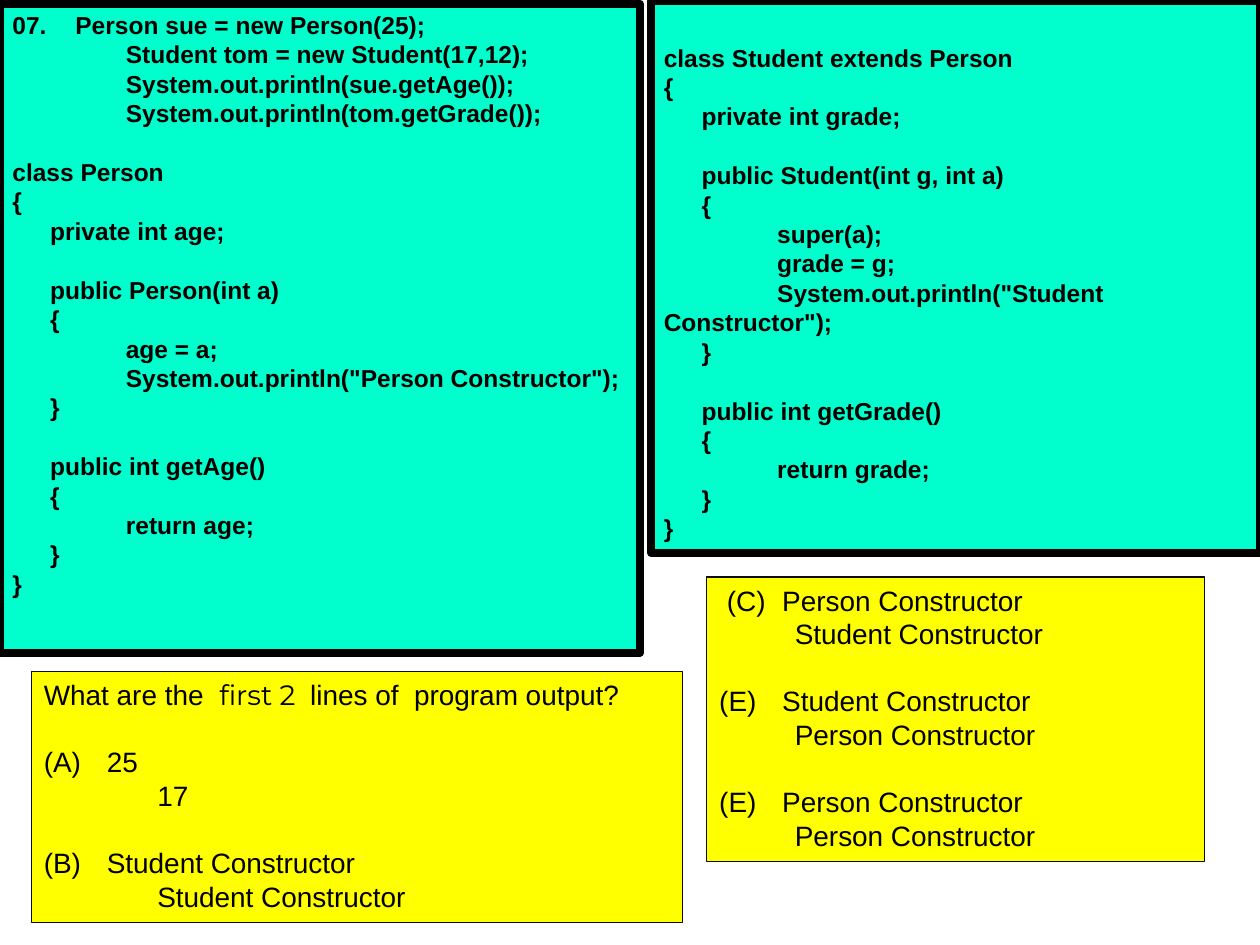
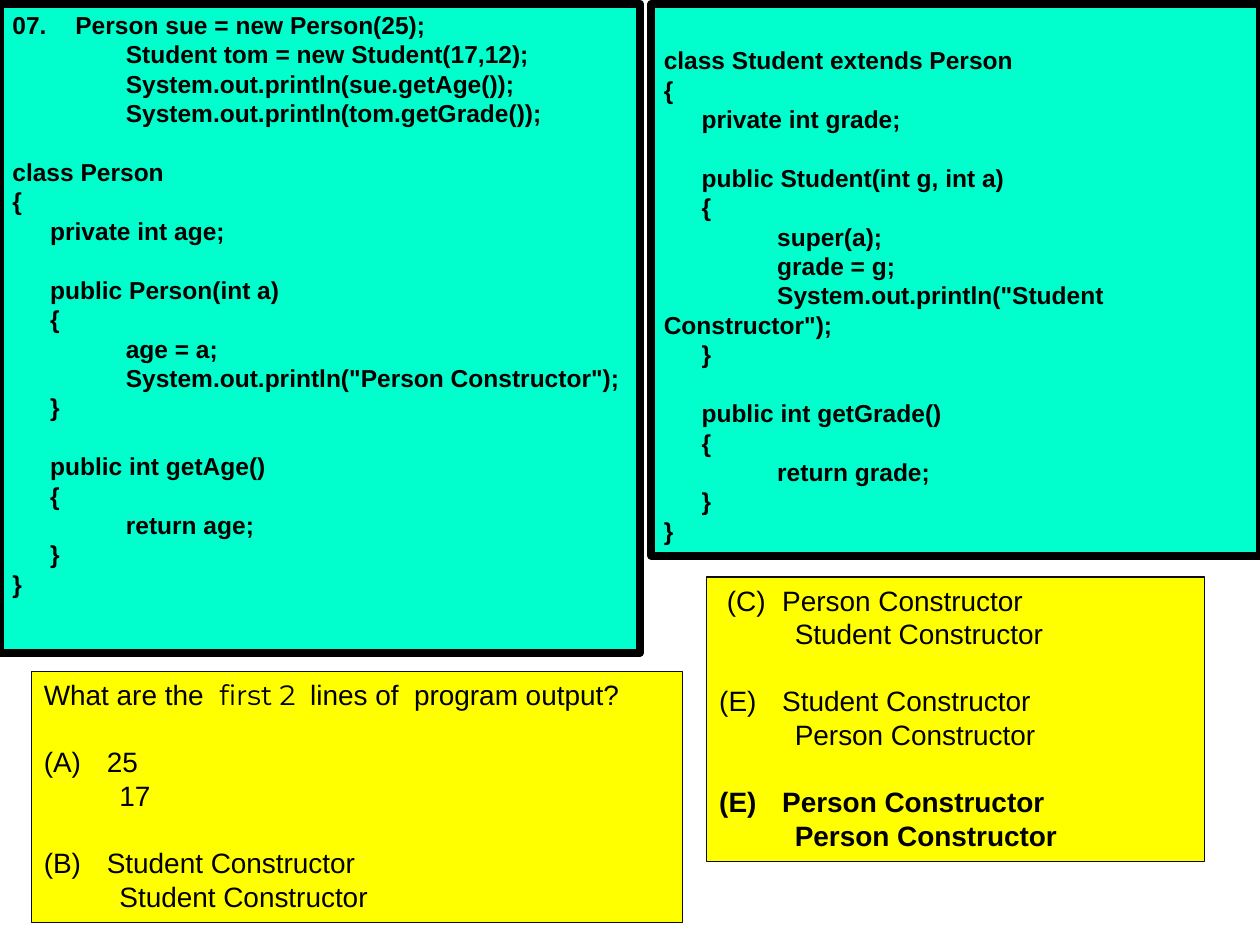
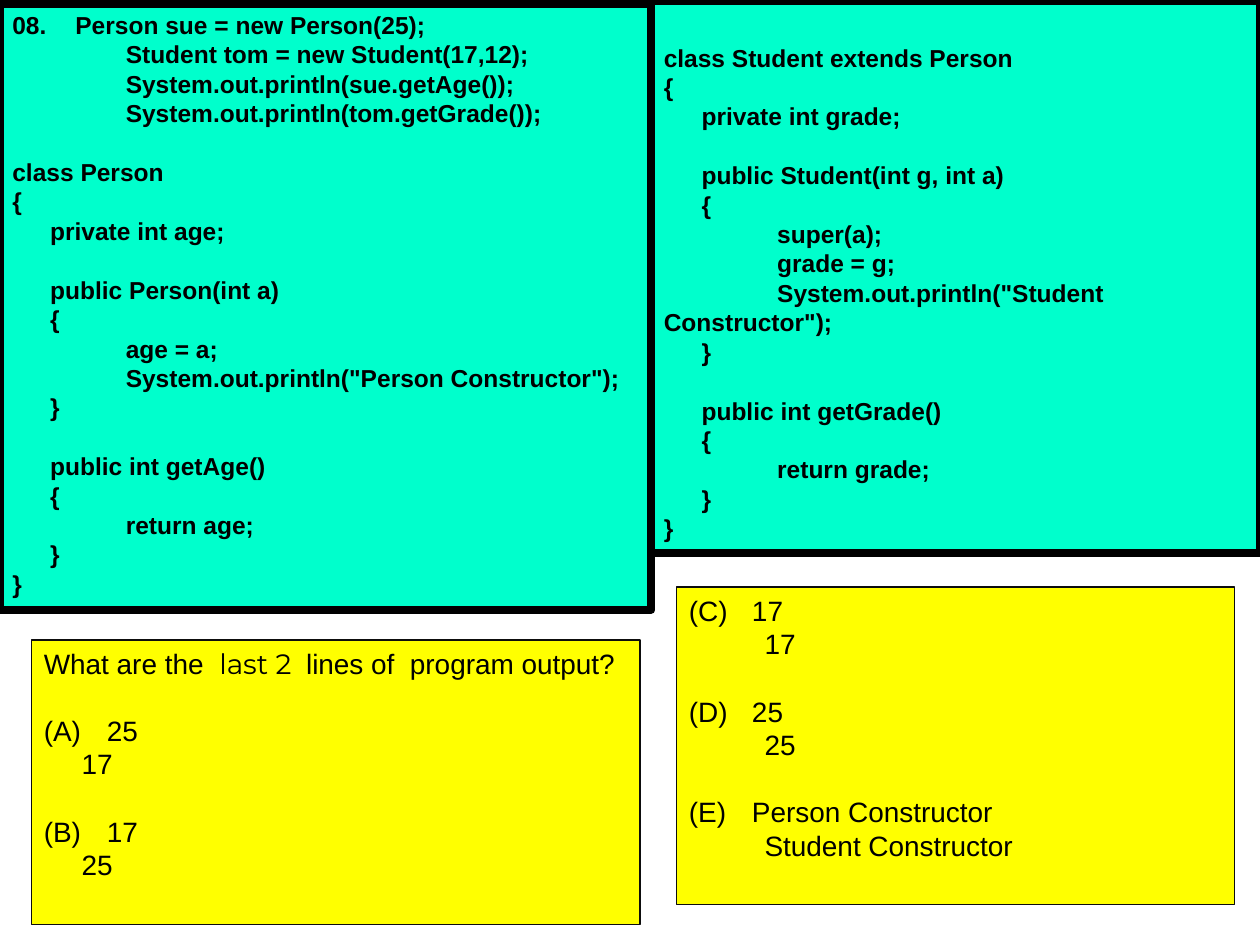
import pptx
import pptx.dml.color
import pptx.enum.shapes
import pptx.enum.text
import pptx.util
from dataclasses import dataclass

Pt = pptx.util.Pt


@dataclass(frozen=True)
class Theme:
    code_fill: str = "00FFCC"
    quiz_fill: str = "FFFF00"
    code_line: str = "000000"
    quiz_line: str = "0D0D0D"
    ink: str = "000000"
    font: str = "Arial"
    accent_font: str = "Montserrat"
    code_size: float = 14
    quiz_size: float = 16
    leading: float = 1.2  # line pitch as a multiple of the type size
    tab: float = 21.6     # width of one indent level


THEME = Theme()

# Code listings: each leading tab is one indent level, an empty line is a gap
PERSON_CODE = """
\t\t\tStudent tom = new Student(17,12);
\t\t\tSystem.out.println(sue.getAge());
\t\t\tSystem.out.println(tom.getGrade());

class Person
{
\tprivate int age;

\tpublic Person(int a)
\t{
\t\t\tage = a;
\t\t\tSystem.out.println("Person Constructor");
\t}

\tpublic int getAge()
\t{
\t\t\treturn age;
\t}
}"""

STUDENT_CODE = """class Student extends Person
{
\tprivate int grade;

\tpublic Student(int g, int a)
\t{
\t\t\tsuper(a);
\t\t\tgrade = g;
\t\t\tSystem.out.println("Student Constructor");
\t}

\tpublic int getGrade()
\t{
\t\t\treturn grade;
\t}
}"""

PERSON, STUDENT = "Person Constructor", "Student Constructor"


def color(value):
    return pptx.dml.color.RGBColor.from_string(value)


def add_panel(slide, bounds, fill, line, line_width):
    """Add a framed rectangle and return its empty text frame."""
    panel = slide.shapes.add_shape(
        pptx.enum.shapes.MSO_SHAPE.RECTANGLE, *[Pt(value) for value in bounds])
    panel.shadow.inherit = False
    panel.fill.solid()
    panel.fill.fore_color.rgb = color(fill)
    panel.line.color.rgb = color(line)
    panel.line.width = Pt(line_width)
    frame = panel.text_frame
    frame.word_wrap = True
    frame.vertical_anchor = pptx.enum.text.MSO_ANCHOR.TOP
    return frame


def add_text(frame, text, size, bold=False, levels=0, stop=None, gap=False, accent=None):
    """Add a paragraph; levels indents its first line, stop is a tab level."""
    paragraph = frame.paragraphs[0]
    if paragraph.runs:
        paragraph = frame.add_paragraph()
    pitch = Pt(size * THEME.leading)
    paragraph.alignment = pptx.enum.text.PP_ALIGN.LEFT
    paragraph.line_spacing = pitch
    paragraph.space_before = pitch if gap else Pt(0)
    properties = paragraph._p.get_or_add_pPr()
    properties.set("marL", "0")
    properties.set("indent", str(Pt(levels * THEME.tab)))
    if stop:
        tabs = pptx.oxml.parse_xml(
            '<a:tabLst xmlns:a="http://schemas.openxmlformats.org/drawingml/2006/main">'
            f'<a:tab pos="{Pt(stop * THEME.tab)}" algn="l"/></a:tabLst>')
        properties.append(tabs)
    before, middle, after = text.partition(accent) if accent else (text, "", "")
    for part in filter(None, (before, middle, after)):
        run = paragraph.add_run()
        run.text = part
        run.font.size = Pt(size)
        run.font.bold = bold
        run.font.name = THEME.accent_font if part == accent else THEME.font
        run.font.color.rgb = color(THEME.ink)


def add_code(slide, bounds, code, first_stop=None, top_space=0):
    frame = add_panel(slide, bounds, THEME.code_fill, THEME.code_line, 4.5)
    frame.margin_top = Pt(3.6 + top_space)
    gap = False
    for line in code.split("\n"):
        if not line:
            gap = True
            continue
        text = line.lstrip("\t")
        add_text(frame, text, THEME.code_size, bold=True, gap=gap,
                 levels=len(line) - len(text), stop=first_stop if "\t" in text else None)
        gap = False


def add_quiz(slide, bounds, options, column, accent=None, answer=None):
    """Add answer options; accent makes the question line, answer is bold."""
    frame = add_panel(slide, bounds, THEME.quiz_fill, THEME.quiz_line, 0.75)
    if accent:
        add_text(frame, f"What are the  {accent}lines of  program output?",
                 THEME.quiz_size, accent=accent)
    for index, (label, first, second) in enumerate(options):
        bold = index == answer
        add_text(frame, f"{label}\t{first}", THEME.quiz_size, bold=bold,
                 stop=column, gap=bool(accent) or index > 0)
        add_text(frame, second, THEME.quiz_size, bold=bold, levels=column)


def add_question(presentation, number, number_stop, person_box, student_top, left, right):
    slide = presentation.slides.add_slide(presentation.slide_layouts[6])
    first_line = f"{number}\tPerson sue = new Person(25);"
    add_code(slide, person_box, first_line + PERSON_CODE, first_stop=number_stop)
    add_quiz(slide, **left)
    add_code(slide, (372.24, student_top, 347.76, 315.36), STUDENT_CODE, top_space=20)
    add_quiz(slide, **right)


def main():
    presentation = pptx.Presentation()
    presentation.slide_width, presentation.slide_height = Pt(720), Pt(540)

    # Question 07, first plain and then with its answer marked
    left_options = [("(A)", "25", "17"), ("(B)", STUDENT, STUDENT)]
    right_options = [("\u00a0(C)", PERSON, STUDENT), ("(E)", STUDENT, PERSON),
                     ("(E)", PERSON, PERSON)]
    for student_top, column, answer in ((0.72, 3, None), (2.16, 2, 2)):
        add_question(
            presentation, "07.", 2, (0, 2.16, 365.76, 370.8), student_top,
            left=dict(bounds=(18, 383.76, 372.24, 143.28), options=left_options,
                      column=column, accent="first 2  "),
            right=dict(bounds=(403.92, 329.76, 284.4, 162.72), options=right_options,
                       column=2, answer=answer))

    # Question 08
    add_question(
        presentation, "08.", 3, (0, 2.16, 372.24, 346.32), 0.72,
        left=dict(bounds=(18, 365.76, 347.76, 162.72), column=1, accent="last 2  ",
                  options=[("(A)", "25", "17"), ("(B)", "17", "25")]),
        right=dict(bounds=(386.64, 335.52, 318.96, 181.44), column=2,
                   options=[("(C)", "17", "17"), ("(D)", "25", "25"),
                            ("(E)", PERSON, STUDENT)]))

    presentation.save("out.pptx")


main()
